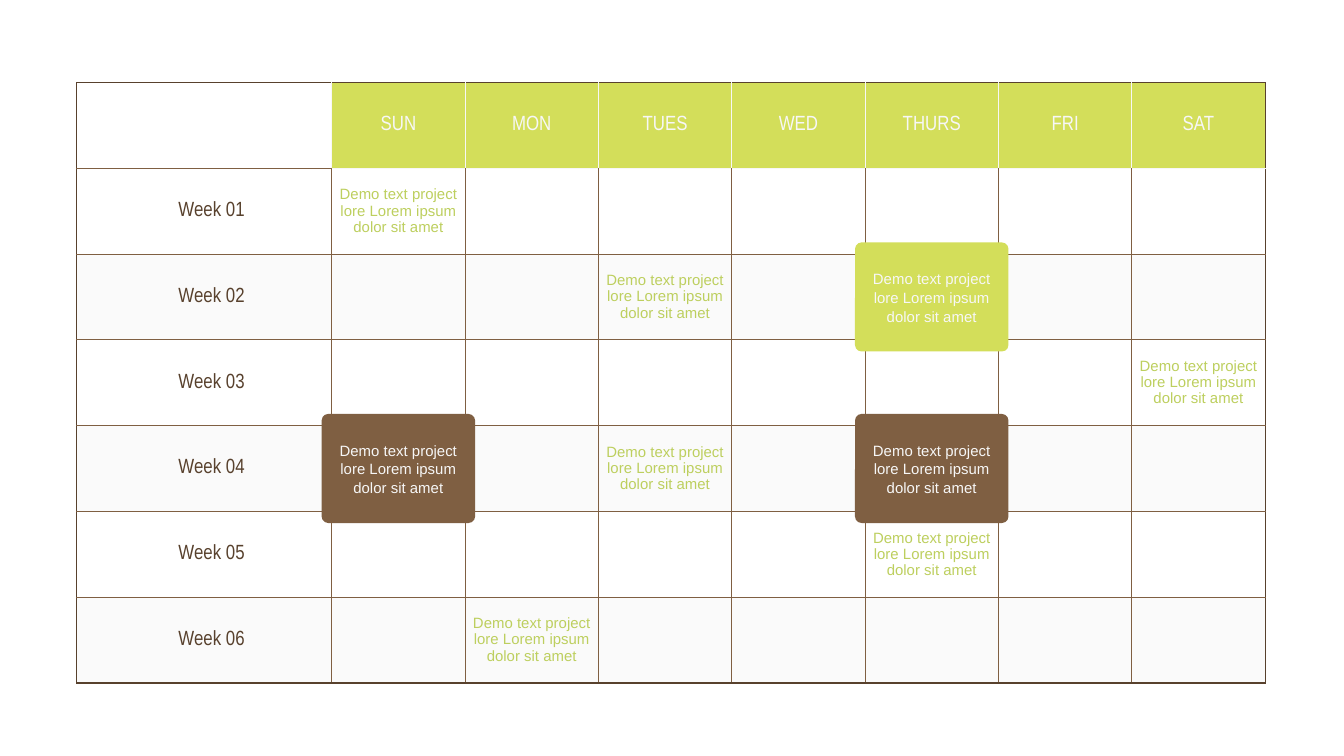
from dataclasses import dataclass

from lxml import etree
from pptx import Presentation
from pptx.dml.color import RGBColor
from pptx.enum.shapes import MSO_SHAPE
from pptx.enum.text import MSO_ANCHOR, PP_ALIGN
from pptx.oxml.ns import qn
from pptx.util import Cm, Pt

ROUNDED = MSO_SHAPE.ROUNDED_RECTANGLE
MIDDLE = MSO_ANCHOR.MIDDLE
CENTER = PP_ALIGN.CENTER


@dataclass(frozen=True)
class Theme:
    lime: str = "D3DE5A"
    olive: str = "BDCF5E"
    brown: str = "7F5F42"
    dark: str = "58412D"
    pale: str = "F7F7F7"
    label_font: str = "Arial Narrow"
    note_font: str = "Arial"
    label_size: float = 11
    note_size: float = 8
    border: float = 0.75


THEME = Theme()

# Content
DAYS = ["SUN", "MON", "TUES", "WED", "THURS", "FRI", "SAT"]
WEEKS = ["Week 01", "Week 02", "Week 03", "Week 04", "Week 05", "Week 06"]
NOTE = "Demo text project lore Lorem ipsum dolor sit amet"
NOTES = [
    ("Week 01", "SUN"),
    ("Week 02", "TUES"),
    ("Week 03", "SAT"),
    ("Week 04", "TUES"),
    ("Week 05", "THURS"),
    ("Week 06", "MON"),
]
CARDS = [
    ("Week 02", "THURS", THEME.lime),
    ("Week 04", "SUN", THEME.brown),
    ("Week 04", "THURS", THEME.brown),
]

# Layout
LEFT, TOP = Cm(1.45), Cm(1.56)
WEEK_WIDTH, DAY_WIDTH, ROW_HEIGHT = Cm(4.82), Cm(2.52), Cm(1.62)
CARD_WIDTH, CARD_HEIGHT = Cm(2.9), Cm(2.06)
ROWS, COLS = len(WEEKS) + 1, len(DAYS) + 1


def rgb(color):
    return RGBColor.from_string(color)


def grid_position(week, day):
    return WEEKS.index(week) + 1, DAYS.index(day) + 1


def write(frame, text, font, size, color, spacing=1.0):
    frame.word_wrap = True
    frame.text = text
    paragraph = frame.paragraphs[0]
    paragraph.alignment = CENTER
    paragraph.line_spacing = spacing
    paragraph.font.name = font
    paragraph.font.size = Pt(size)
    paragraph.font.color.rgb = rgb(color)


def write_cell(cell, text, font, size, color, spacing=1.0, left=Cm(0.1)):
    write(cell.text_frame, text, font, size, color, spacing)
    cell.vertical_anchor = MIDDLE
    cell.margin_left, cell.margin_right = left, Cm(0.1)
    cell.margin_top = cell.margin_bottom = Cm(0.05)


def fill_cell(cell, row, col):
    """Lime day headings, half-transparent bands on even weeks, the rest empty."""
    if row == 0 and col > 0:
        cell.fill.solid()
        cell.fill.fore_color.rgb = rgb(THEME.lime)
    elif row > 0 and row % 2 == 0:
        cell.fill.solid()
        cell.fill.fore_color.rgb = rgb(THEME.pale)
        shade = cell._tc.tcPr.find(qn("a:solidFill")).find(qn("a:srgbClr"))
        etree.SubElement(shade, qn("a:alpha"), val="50000")
    else:
        cell.fill.background()


def vertical_color(row, edge):
    if edge in (0, COLS):
        return THEME.dark
    return THEME.pale if row == 0 else THEME.brown


def horizontal_color(edge, col):
    if edge in (0, ROWS):
        return THEME.dark
    return THEME.pale if edge == 1 and col > 0 else THEME.brown


def border_cell(cell, row, col):
    borders = [
        ("a:lnL", vertical_color(row, col)),
        ("a:lnR", vertical_color(row, col + 1)),
        ("a:lnT", horizontal_color(row, col)),
        ("a:lnB", horizontal_color(row + 1, col)),
    ]
    properties = cell._tc.get_or_add_tcPr()
    for index, (tag, color) in enumerate(borders):
        line = etree.Element(qn(tag), w=str(Pt(THEME.border)))
        fill = etree.SubElement(line, qn("a:solidFill"))
        etree.SubElement(fill, qn("a:srgbClr"), val=color)
        properties.insert(index, line)


def add_calendar(slide):
    width = WEEK_WIDTH + DAY_WIDTH * len(DAYS)
    calendar = slide.shapes.add_table(
        ROWS, COLS, LEFT, TOP, width, ROW_HEIGHT * ROWS).table
    calendar.first_row = calendar.horz_banding = False
    for col, column in enumerate(calendar.columns):
        column.width = DAY_WIDTH if col else WEEK_WIDTH
    for row in range(ROWS):
        calendar.rows[row].height = ROW_HEIGHT
        for col in range(COLS):
            cell = calendar.cell(row, col)
            fill_cell(cell, row, col)
            border_cell(cell, row, col)

    for col, day in enumerate(DAYS, 1):
        write_cell(calendar.cell(0, col), day, THEME.label_font,
                   THEME.label_size, THEME.pale)
    for row, week in enumerate(WEEKS, 1):
        write_cell(calendar.cell(row, 0), week, THEME.label_font,
                   THEME.label_size, THEME.dark, left=Cm(0.38))
    for week, day in NOTES:
        write_cell(calendar.cell(*grid_position(week, day)), NOTE,
                   THEME.note_font, THEME.note_size, THEME.olive, 0.96)


def add_card(slide, week, day, color):
    """Centre a highlighted note on its day cell."""
    row, col = grid_position(week, day)
    center_x = LEFT + WEEK_WIDTH + DAY_WIDTH * (col - 0.5)
    center_y = TOP + ROW_HEIGHT * (row + 0.5)
    card = slide.shapes.add_shape(
        ROUNDED, int(center_x - CARD_WIDTH / 2),
        int(center_y - CARD_HEIGHT / 2), CARD_WIDTH, CARD_HEIGHT)
    card.adjustments[0] = 0.06
    card.shadow.inherit = False
    card.fill.solid()
    card.fill.fore_color.rgb = rgb(color)
    card.line.fill.background()
    frame = card.text_frame
    frame.vertical_anchor = MIDDLE
    frame.margin_left = frame.margin_right = Cm(0.05)
    frame.margin_top = frame.margin_bottom = Cm(0.05)
    write(frame, NOTE, THEME.note_font, THEME.note_size, THEME.pale, 1.05)


def main():
    deck = Presentation()
    deck.slide_width, deck.slide_height = Cm(25.4), Cm(14.28)
    slide = deck.slides.add_slide(deck.slide_layouts[6])
    add_calendar(slide)
    for week, day, color in CARDS:
        add_card(slide, week, day, color)
    deck.save("out.pptx")


if __name__ == "__main__":
    main()
